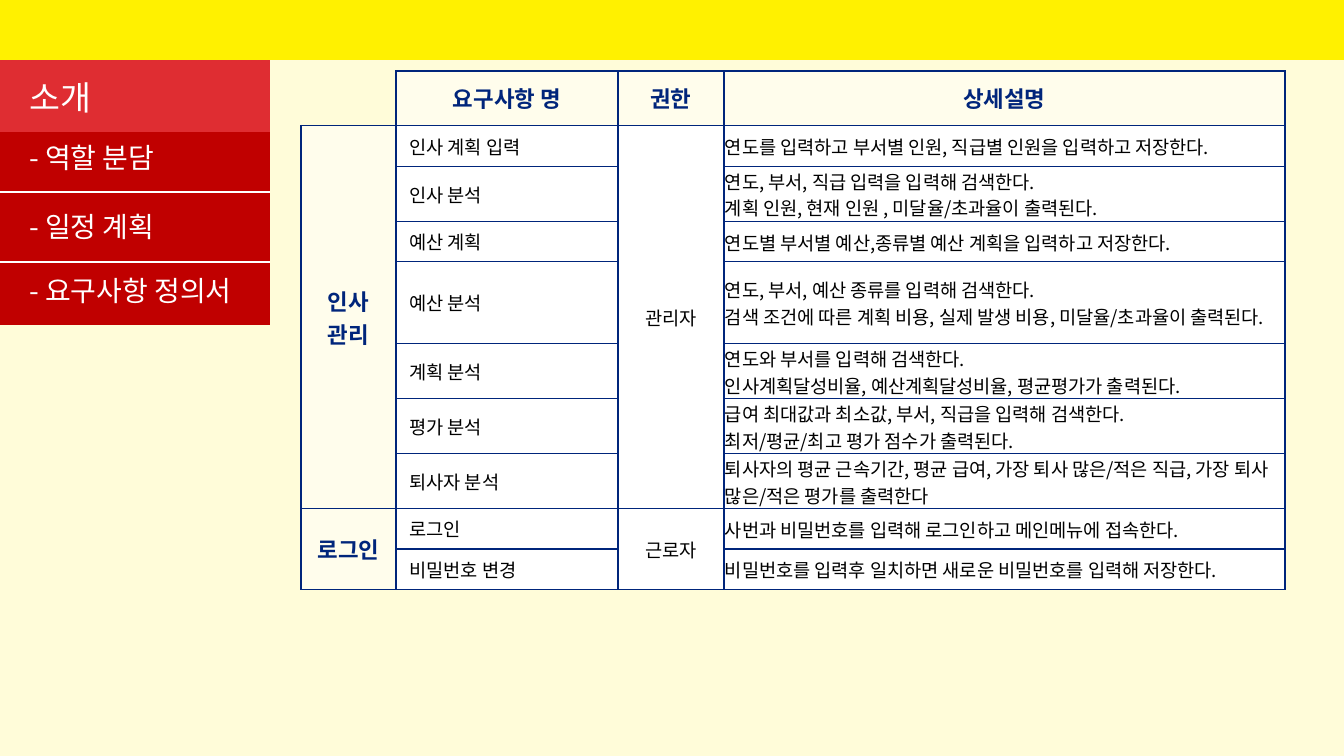
import pptx
import pptx.util
import pptx.dml.color
import pptx.enum.shapes
import pptx.enum.text
import pptx.oxml.ns
from lxml import etree

PX = 914400 / 134.4
FONT = "Noto Sans CJK KR"
COLORS = {
    "page": "FFFCD9", "banner": "FFF100", "title": "DF2D32", "menu": "C00000",
    "white": "FFFFFF", "navy": "00257B", "black": "000000",
}
MENU = [("- 역할 분담", 134), ("- 일정 계획", 203), ("- 요구사항 정의서", 267)]
HEADERS = ["요구사항 명", "권한", "상세설명"]
GROUPS = [
    ("인사\n관리", "관리자", [
        ("인사 계획 입력", "연도를 입력하고 부서별 인원, 직급별 인원을 입력하고 저장한다."),
        ("인사 분석", "연도, 부서, 직급 입력을 입력해 검색한다.\n"
                  "계획 인원, 현재 인원 , 미달율/초과율이 출력된다."),
        ("예산 계획", "연도별 부서별 예산,종류별 예산 계획을 입력하고 저장한다."),
        ("예산 분석", "연도, 부서, 예산 종류를 입력해 검색한다.\n"
                  "검색 조건에 따른 계획 비용, 실제 발생 비용, 미달율/초과율이 출력된다."),
        ("계획 분석", "연도와 부서를 입력해 검색한다.\n"
                  "인사계획달성비율, 예산계획달성비율, 평균평가가 출력된다."),
        ("평가 분석", "급여 최대값과 최소값, 부서, 직급을 입력해 검색한다.\n"
                  "최저/평균/최고 평가 점수가 출력된다."),
        ("퇴사자 분석", "퇴사자의 평균 근속기간, 평균 급여, 가장 퇴사 많은/적은 직급, "
                   "가장 퇴사 많은/적은 평가를 출력한다"),
    ]),
    ("로그인", "근로자", [
        ("로그인", "사번과 비밀번호를 입력해 로그인하고 메인메뉴에 접속한다."),
        ("비밀번호 변경", "비밀번호를 입력후 일치하면 새로운 비밀번호를 입력해 저장한다."),
    ]),
]
COL_WIDTHS = [95, 222, 106, 561]
ROW_HEIGHTS = [46, 41, 55, 40, 82, 55, 55, 55, 40, 40]


def emu(px):
    """Turn px into EMU."""
    return pptx.util.Emu(round(px * PX))


def rgb(name):
    """Return a named colour."""
    return pptx.dml.color.RGBColor.from_string(COLORS[name])


def add_sub(parent, tag, **attrs):
    """Append a DrawingML element."""
    return etree.SubElement(parent, pptx.oxml.ns.qn(tag), attrs)


def write(tf, text, size, color, bold=False, center=False):
    """Fill a text frame with one paragraph per line."""
    for i, line in enumerate(text.split("\n")):
        p = tf.add_paragraph() if i else tf.paragraphs[0]
        p.alignment = pptx.enum.text.PP_ALIGN.CENTER if center else pptx.enum.text.PP_ALIGN.LEFT
        r = p.add_run()
        r.text = line
        r.font.size = pptx.util.Pt(size)
        r.font.name = FONT
        r.font.bold = bold
        r.font.color.rgb = rgb(color)
        add_sub(r.font._element, "a:ea", typeface=FONT)


def add_rect(s, x, y, w, h, color):
    """Add a plain filled rectangle."""
    sp = s.shapes.add_shape(pptx.enum.shapes.MSO_SHAPE.RECTANGLE, emu(x), emu(y), emu(w), emu(h))
    sp.shadow.inherit = False
    sp.fill.solid()
    sp.fill.fore_color.rgb = rgb(color)
    sp.line.fill.background()


def add_label(s, x, y, w, h, text, size):
    """Add a white text box."""
    tf = s.shapes.add_textbox(emu(x), emu(y), emu(w), emu(h)).text_frame
    tf.word_wrap = True
    write(tf, text, size, "white")


def add_rule(s, x, y, w):
    """Add a thin white horizontal line."""
    line = s.shapes.add_connector(
        pptx.enum.shapes.MSO_CONNECTOR.STRAIGHT, emu(x), emu(y), emu(x + w), emu(y))
    line.line.color.rgb = rgb("white")
    line.line.width = pptx.util.Pt(0.75)
    add_sub(line._element.spPr, "a:effectLst")


def add_sidebar(s, x, y, w, h):
    """Add the section title and its menu."""
    add_rect(s, x, y, w, h, "title")
    add_rect(s, x, y + 124, w, h - 124, "menu")
    for rule_y in (184, 254):
        add_rule(s, x, y + rule_y, w)
    add_label(s, x + 16, y + 62, 233, 54, "소개", 18)
    for text, top in MENU:
        add_label(s, x + 16, top, 243, 47, text, 15)


def set_borders(cell, sides):
    """Draw navy borders on the given sides and clear the others."""
    tcPr = cell._tc.get_or_add_tcPr()
    for i, side in enumerate("LRTB"):
        ln = etree.Element(pptx.oxml.ns.qn("a:ln" + side), w="9525")
        if side in sides:
            fill = add_sub(ln, "a:solidFill")
            add_sub(fill, "a:srgbClr", val=COLORS["navy"])
        else:
            add_sub(ln, "a:noFill")
        tcPr.insert(i, ln)


def fill_cell(cell, text, heading=False, center=False):
    """Style a cell as a heading or as body text."""
    cell.vertical_anchor = pptx.enum.text.MSO_ANCHOR.MIDDLE
    cell.fill.solid()
    cell.fill.fore_color.rgb = rgb("white")
    if heading:
        clr = cell._tc.tcPr.find(".//" + pptx.oxml.ns.qn("a:srgbClr"))
        add_sub(clr, "a:alpha", val="50000")
        write(cell.text_frame, text, 12, "navy", True, True)
    else:
        write(cell.text_frame, text, 10, "black", False, center)


def add_requirements(s, x, y, w, h):
    """Add the requirements table."""
    table = s.shapes.add_table(
        len(ROW_HEIGHTS), len(COL_WIDTHS), emu(x), emu(y), emu(w), emu(h)).table
    table.first_row = table.horz_banding = False
    for col, width in zip(table.columns, COL_WIDTHS):
        col.width = emu(width)
    for row, height in zip(table.rows, ROW_HEIGHTS):
        row.height = emu(height)
    table.cell(0, 0).fill.background()
    for c, text in enumerate(HEADERS, 1):
        fill_cell(table.cell(0, c), text, heading=True)
    top = 1
    for group, role, items in GROUPS:
        for c in (0, 2):
            table.cell(top, c).merge(table.cell(top + len(items) - 1, c))
        fill_cell(table.cell(top, 0), group, heading=True)
        fill_cell(table.cell(top, 2), role, center=True)
        for r, (name, detail) in enumerate(items, top):
            fill_cell(table.cell(r, 1), name)
            cell = table.cell(r, 3)
            cell.margin_left = cell.margin_right = cell.margin_top = emu(1)
            cell.margin_bottom = 0
            fill_cell(cell, detail)
        top += len(items)
    for i, cell in enumerate(table.iter_cells()):
        set_borders(cell, "LRTB" if i else "RB")


def main():
    """Build and save the slide."""
    prs = pptx.Presentation()
    prs.slide_width, prs.slide_height = emu(1344), emu(756)
    s = prs.slides.add_slide(prs.slide_layouts[6])
    s.background.fill.solid()
    s.background.fill.fore_color.rgb = rgb("page")
    add_requirements(s, 301, 71, sum(COL_WIDTHS), sum(ROW_HEIGHTS))
    add_sidebar(s, 0, 8, 270, 317)
    add_rect(s, 0, 0, 1344, 60, "banner")
    prs.save("out.pptx")


if __name__ == "__main__":
    main()
